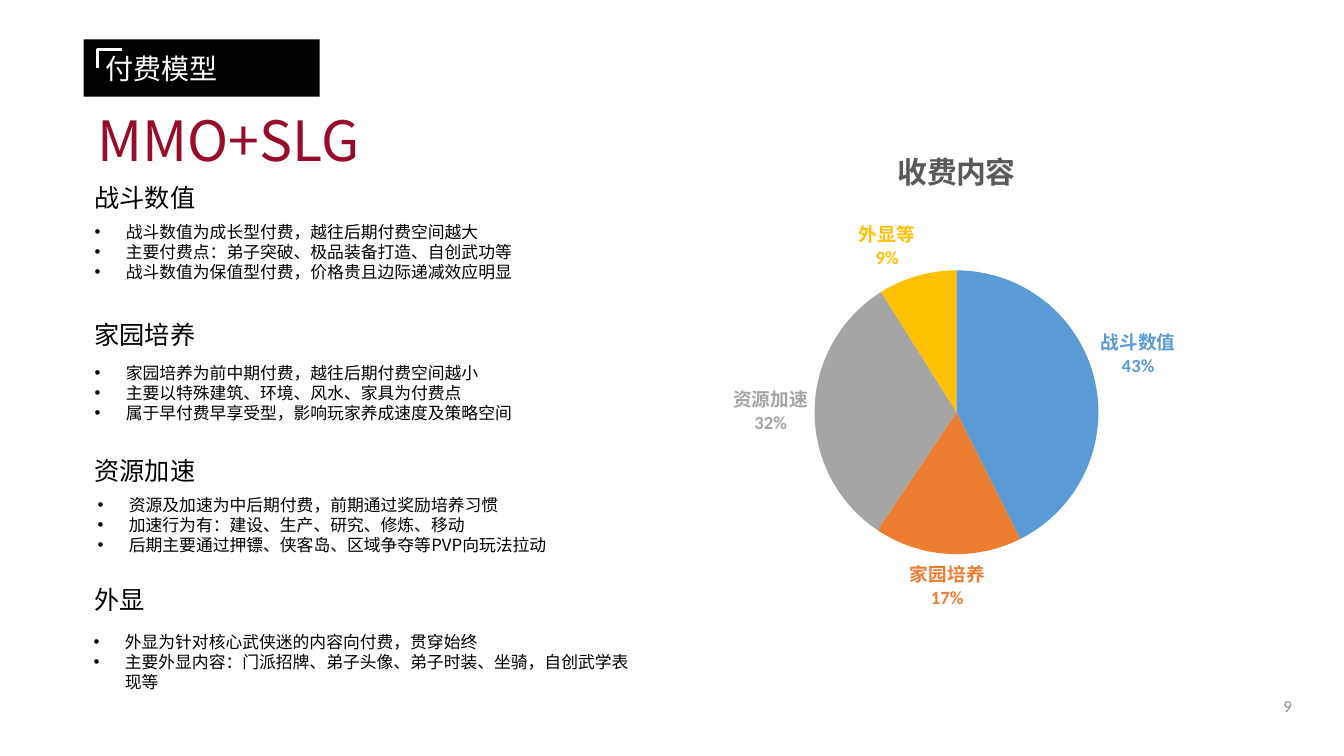
from dataclasses import dataclass

from lxml.etree import SubElement
from pptx import Presentation
from pptx.chart.data import CategoryChartData
from pptx.dml.color import RGBColor
from pptx.enum.chart import XL_CHART_TYPE, XL_LABEL_POSITION
from pptx.enum.shapes import MSO_SHAPE
from pptx.enum.text import MSO_ANCHOR, PP_ALIGN
from pptx.oxml.ns import qn
from pptx.slide import Slide
from pptx.util import Inches, Pt

WIDTH, HEIGHT = Inches(13.33), Inches(7.5)
CJK_FONT, LATIN_FONT = "Noto Sans CJK SC", "Calibri"
BLACK, WHITE, CRIMSON = "000000", "FFFFFF", "960C2A"
BULLET_INDENT = Inches(0.31)


@dataclass
class Area:
    """A rectangle in percent of the slide's width and height."""
    left: float
    top: float
    width: float
    height: float

    def lengths(self) -> tuple[int, int, int, int]:
        return (int(WIDTH * self.left / 100), int(HEIGHT * self.top / 100),
                int(WIDTH * self.width / 100), int(HEIGHT * self.height / 100))


@dataclass
class Section:
    heading: str
    heading_top: float
    list_left: float
    list_top: float
    points: list[str]


@dataclass
class Slice:
    name: str
    value: int
    color: str


SECTIONS = [
    Section("战斗数值", 23.2, 6.3, 28.67, [
        "战斗数值为成长型付费，越往后期付费空间越大",
        "主要付费点：弟子突破、极品装备打造、自创武功等",
        "战斗数值为保值型付费，价格贵且边际递减效应明显"]),
    Section("家园培养", 41.33, 6.3, 47.33, [
        "家园培养为前中期付费，越往后期付费空间越小",
        "主要以特殊建筑、环境、风水、家具为付费点",
        "属于早付费早享受型，影响玩家养成速度及策略空间"]),
    Section("资源加速", 59.33, 6.53, 64.8, [
        "资源及加速为中后期付费，前期通过奖励培养习惯",
        "加速行为有：建设、生产、研究、修炼、移动",
        "后期主要通过押镖、侠客岛、区域争夺等PVP向玩法拉动"]),
    Section("外显", 76.4, 6.23, 82.93, [
        "外显为针对核心武侠迷的内容向付费，贯穿始终",
        "主要外显内容：门派招牌、弟子头像、弟子时装、坐骑，自创武学表现等"]),
]
SLICES = [
    Slice("战斗数值", 43, "5B9BD5"),
    Slice("家园培养", 17, "ED7D31"),
    Slice("资源加速", 32, "A5A5A5"),
    Slice("外显等", 9, "FFC000"),
]


def color(value: str) -> RGBColor:
    return RGBColor.from_string(value)


def add_span(para, text: str, size: float, hue: str, font: str = CJK_FONT) -> None:
    span = para.add_run()
    span.text = text
    span.font.size, span.font.name = Pt(size), font
    span.font.color.rgb = color(hue)
    SubElement(span.font._element, qn("a:ea"), typeface=font)


def add_text(page: Slide, area: Area, lines: list[str], size: float, hue: str = BLACK,
             font: str = CJK_FONT, spacing=None, bullets: bool = False):
    box = page.shapes.add_textbox(*area.lengths())
    frame = box.text_frame
    frame.word_wrap = True
    for index, line in enumerate(lines):
        para = frame.paragraphs[0] if index == 0 else frame.add_paragraph()
        para.line_spacing = spacing
        add_span(para, line, size, hue, font)
        if bullets:
            properties = para._p.get_or_add_pPr()
            properties.set("marL", str(BULLET_INDENT))
            properties.set("indent", str(-BULLET_INDENT))
            SubElement(properties, qn("a:buFont"), typeface="Arial")
            SubElement(properties, qn("a:buChar"), char="•")
    return frame


def add_label(page: Slide) -> None:
    """Black section label with a white corner mark."""
    group = page.shapes.add_group_shape()
    label = group.shapes.add_shape(MSO_SHAPE.RECTANGLE, *Area(6.23, 5.2, 17.55, 7.6).lengths())
    label.shadow.inherit = False
    label.fill.solid()
    label.fill.fore_color.rgb = color(BLACK)
    label.line.fill.background()
    frame = label.text_frame
    frame.word_wrap = False
    frame.margin_left = Inches(0.22)
    frame.vertical_anchor = MSO_ANCHOR.MIDDLE
    frame.paragraphs[0].alignment = PP_ALIGN.LEFT
    add_span(frame.paragraphs[0], "付费模型", 20, WHITE)

    left, top, width, height = Area(7.28, 6.53, 1.8, 2.4).lengths()
    outline = group.shapes.build_freeform(left + width, top)
    outline.add_line_segments([(left, top), (left, top + height)], close=False)
    corner = outline.convert_to_shape()
    corner.shadow.inherit = False
    corner.fill.background()
    corner.line.color.rgb = color(WHITE)
    corner.line.width = Pt(2)


def place_plot(chart, **shares: float) -> None:
    """Fix the pie's square inside the chart, in shares of the chart's size."""
    plot_area = chart._chartSpace.find(".//" + qn("c:plotArea"))
    for old in plot_area.findall(qn("c:layout")):
        plot_area.remove(old)
    layout = SubElement(plot_area, qn("c:layout"))
    plot_area.insert(0, layout)
    manual = SubElement(layout, qn("c:manualLayout"))
    SubElement(manual, qn("c:layoutTarget"), val="inner")
    for mode in ("xMode", "yMode"):
        SubElement(manual, qn(f"c:{mode}"), val="edge")
    for name, share in shares.items():
        SubElement(manual, qn(f"c:{name}"), val=str(share))


def show_name_and_percent(chart) -> None:
    shown = {"showVal": "0", "showCatName": "1", "showPercent": "1"}
    for label in chart._chartSpace.iter(qn("c:dLbl")):
        for name, value in shown.items():
            label.find(qn(f"c:{name}")).set("val", value)
        SubElement(label, qn("c:separator")).text = "\n"


def add_pie(page: Slide) -> None:
    data = CategoryChartData()
    data.categories = [part.name for part in SLICES]
    data.add_series("收费内容", [part.value for part in SLICES])
    chart = page.shapes.add_chart(
        XL_CHART_TYPE.PIE, *Area(45.9, 17.33, 50.55, 65.87).lengths(), data).chart
    chart.has_legend = False
    chart.font.size, chart.font.name = Pt(10), LATIN_FONT
    chart.font.color.rgb = color(BLACK)
    chart.has_title = True
    add_span(chart.chart_title.text_frame.paragraphs[0], "收费内容", 21.3, "595959", LATIN_FONT)
    chart.chart_title.text_frame.paragraphs[0].runs[0].font.bold = True
    plot = chart.plots[0]
    plot.vary_by_categories = True
    for index, part in enumerate(SLICES):
        point = plot.series[0].points[index]
        point.format.fill.solid()
        point.format.fill.fore_color.rgb = color(part.color)
        point.format.line.fill.background()
        font = point.data_label.font
        font.size, font.bold, font.name = Pt(13.3), True, LATIN_FONT
        font.color.rgb = color(part.color)
        point.data_label.position = XL_LABEL_POSITION.OUTSIDE_END
    show_name_and_percent(chart)
    place_plot(chart, x=0.29, y=0.28, w=0.42, h=0.57)


def main() -> None:
    deck = Presentation()
    deck.slide_width, deck.slide_height = WIDTH, HEIGHT
    page = deck.slides.add_slide(deck.slide_layouts[6])

    number = add_text(page, Area(93.6, 90.67, 4.4, 5.33), ["9"], 12, "8C8C8C", LATIN_FONT)
    number.vertical_anchor = MSO_ANCHOR.MIDDLE
    number.paragraphs[0].alignment = PP_ALIGN.CENTER
    title = add_text(page, Area(6.53, 14.27, 29.25, 9.33), ["MMO+SLG"], 39.6, CRIMSON, spacing=0.9)
    title.vertical_anchor = MSO_ANCHOR.MIDDLE
    add_label(page)
    add_pie(page)
    for section in SECTIONS:
        add_text(page, Area(6.3, section.heading_top, 10.2, 5.33), [section.heading], 18,
                 spacing=Pt(23))
        add_text(page, Area(section.list_left, section.list_top, 41.33, 9.5), section.points, 12,
                 spacing=Pt(14.3), bullets=True)
    deck.save("out.pptx")


if __name__ == "__main__":
    main()
